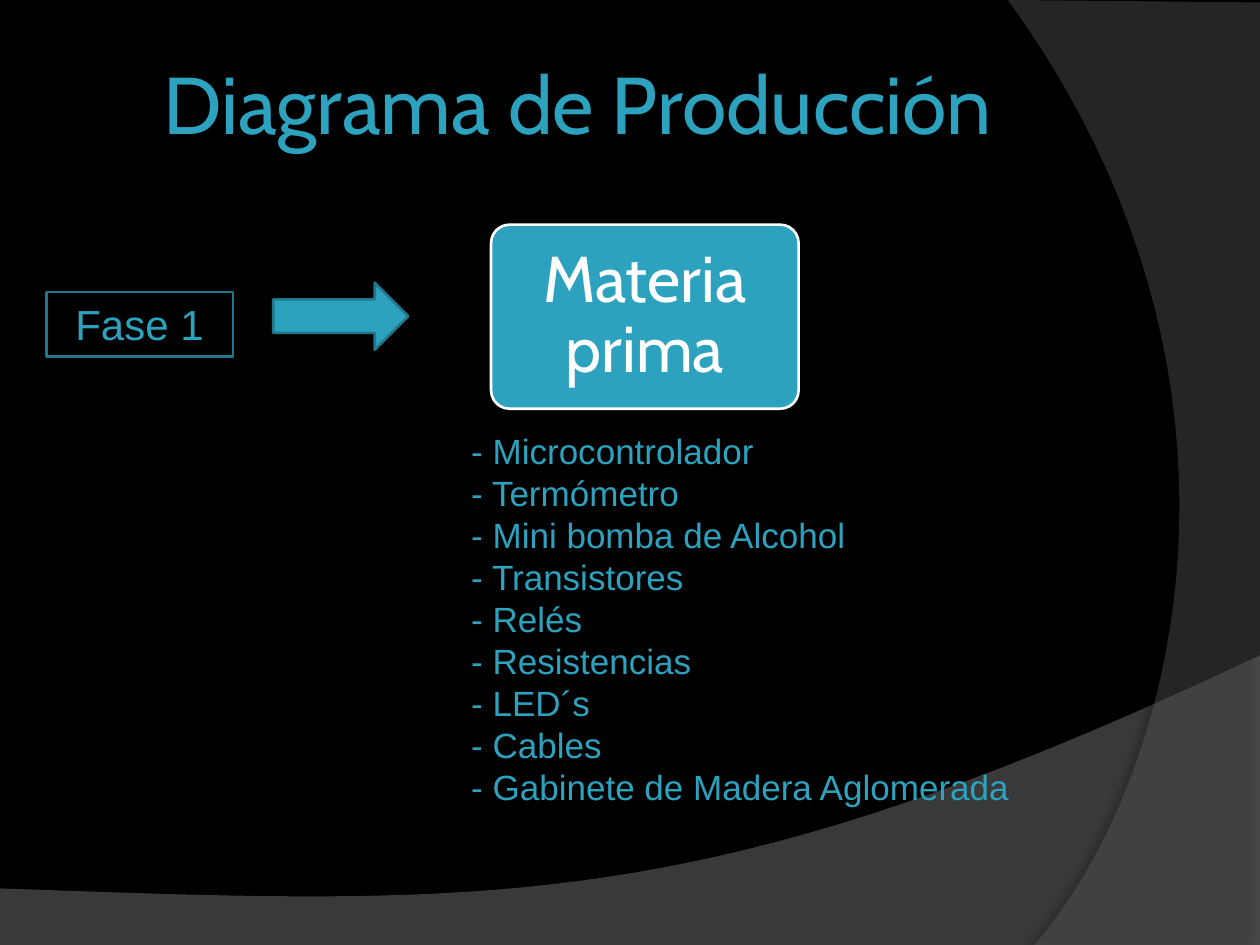
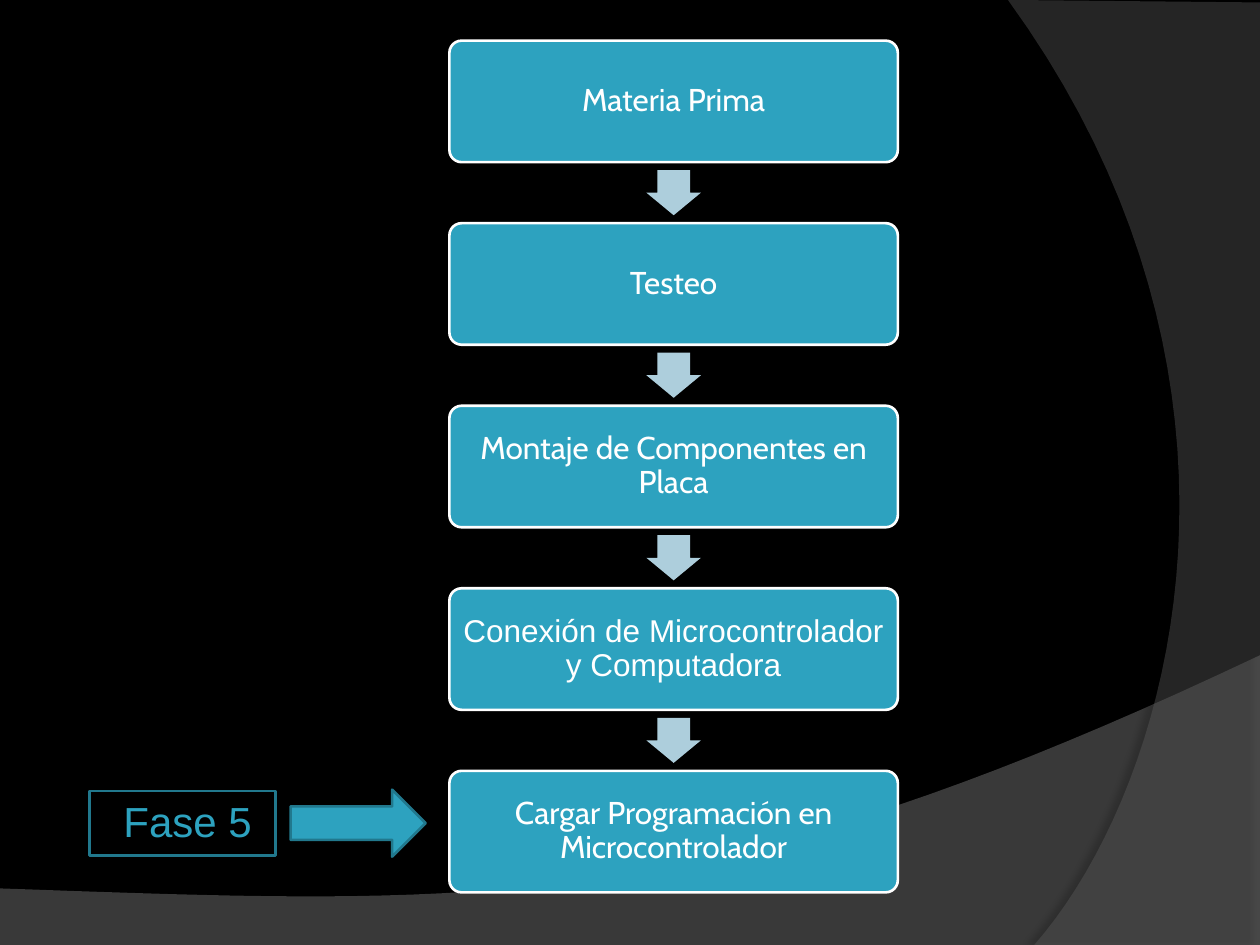
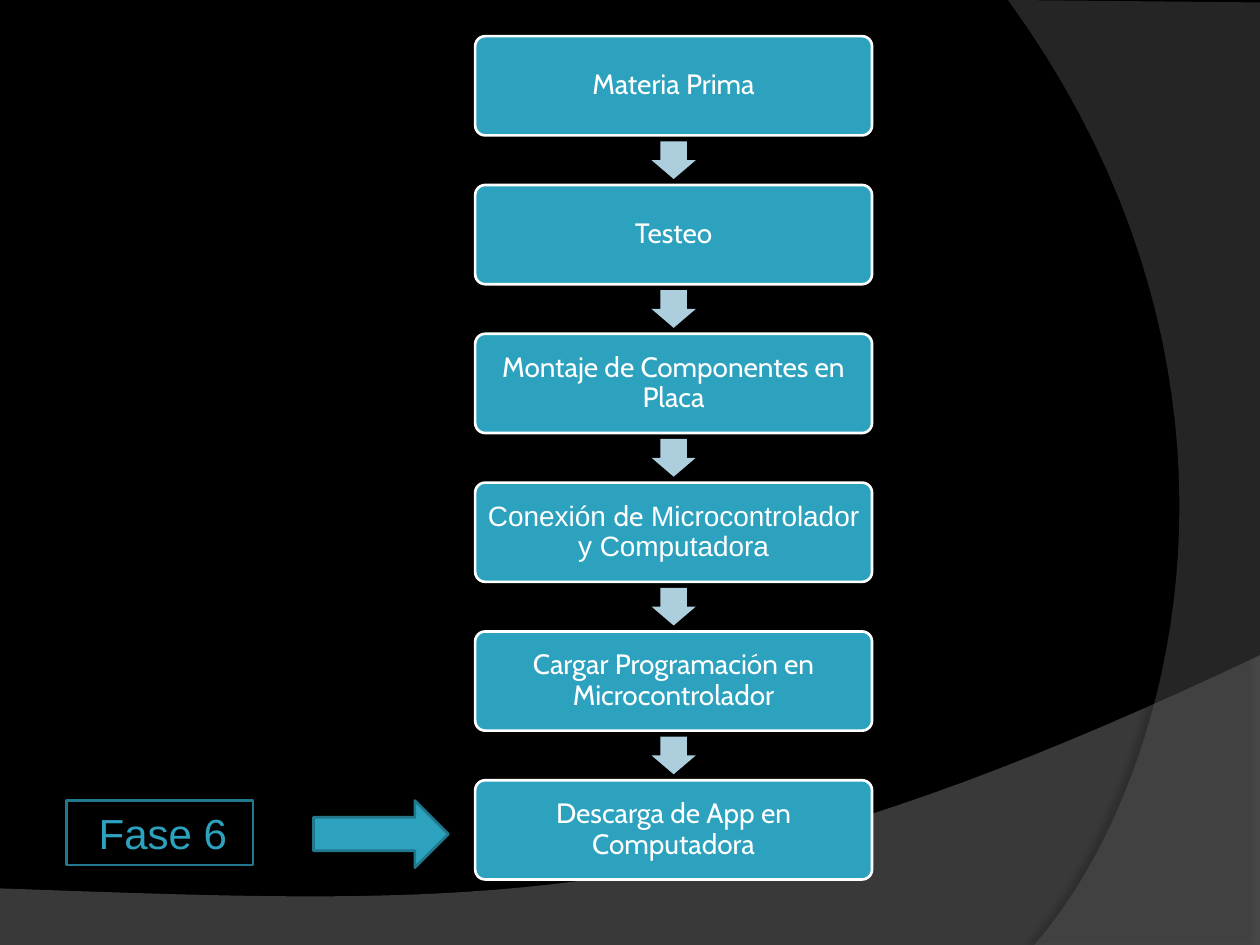
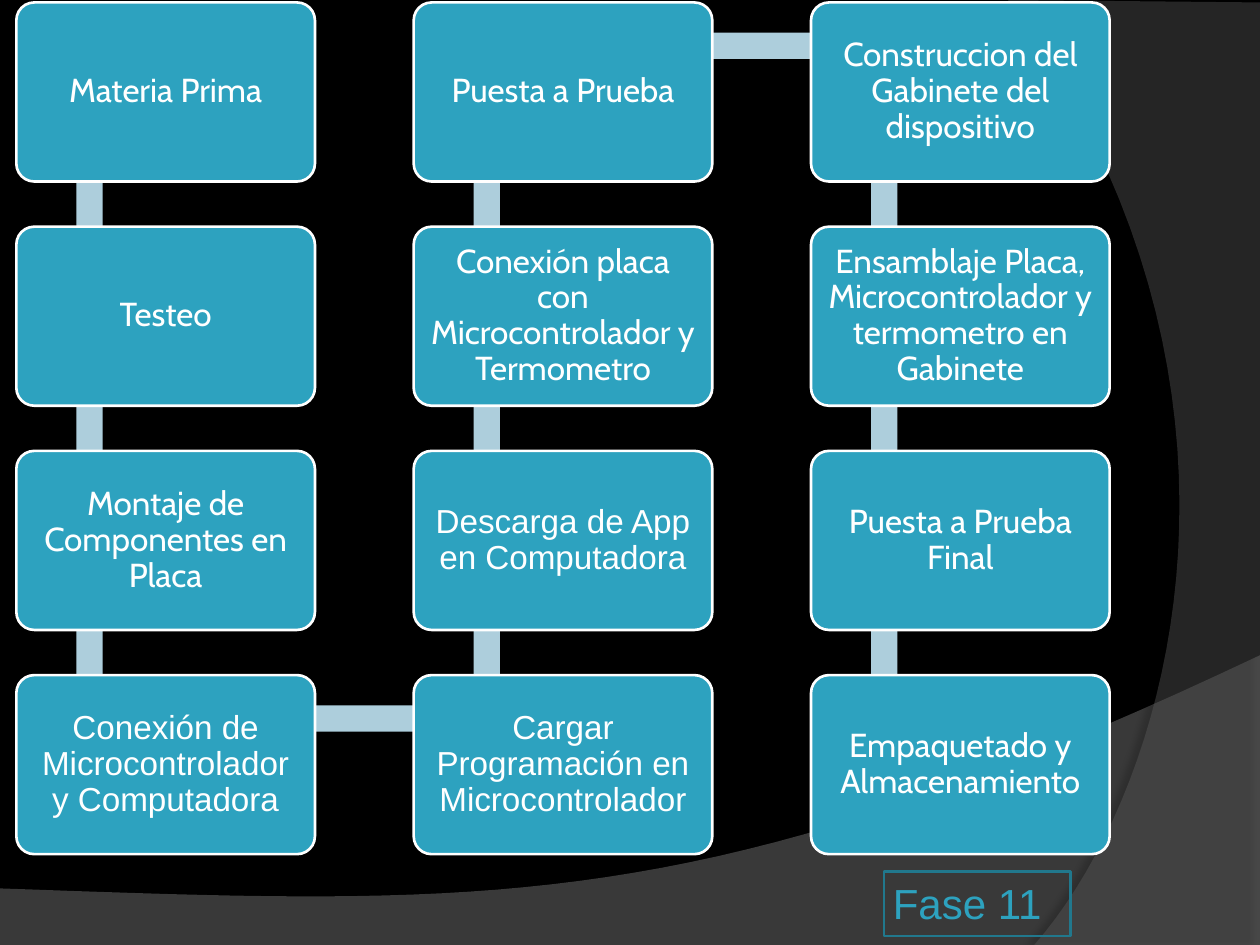
from dataclasses import dataclass

from lxml.etree import SubElement
from pptx import Presentation
from pptx.dml.color import RGBColor as RGB
from pptx.enum.shapes import MSO_SHAPE as SHAPE
from pptx.enum.text import MSO_ANCHOR as ANCHOR, PP_ALIGN as ALIGN
from pptx.oxml.ns import qn
from pptx.util import Cm, Pt


@dataclass(frozen=True)
class Theme:
    black: RGB = RGB(0x00, 0x00, 0x00)
    white: RGB = RGB(0xFF, 0xFF, 0xFF)
    teal: RGB = RGB(0x2D, 0xA2, 0xBF)
    edge: RGB = RGB(0x21, 0x78, 0x8D)
    pale: RGB = RGB(0xAD, 0xCE, 0xDC)
    band: RGB = RGB(0x7F, 0x7F, 0x7F)
    side: RGB = RGB(0x5E, 0x5E, 0x5E)
    cabin: str = "Cabin"
    arial: str = "Arial"
    title: int = 46
    hero: int = 37
    phase: int = 24
    body: int = 20
    grid: int = 19


T = Theme()


def add_shape(s, kind, x, y, w, h, fill=None, line=None, adj=()):
    sp = s.shapes.add_shape(kind, Cm(x), Cm(y), Cm(w), Cm(h))
    sp.shadow.inherit = False
    if fill is None:
        sp.fill.background()
    else:
        sp.fill.solid()
        sp.fill.fore_color.rgb = fill
    if line is None:
        sp.line.fill.background()
    else:
        sp.line.color.rgb = line
        sp.line.width = Pt(1.5)
    for i, value in enumerate(adj):
        sp.adjustments[i] = value
    return sp


def write(sp, lines, size, color, align, anchor, margins, spacing=None):
    tf = sp.text_frame
    tf.word_wrap = True
    tf.vertical_anchor = anchor
    tf.margin_left, tf.margin_top, tf.margin_right, tf.margin_bottom = [Cm(m) for m in margins]
    for i, parts in enumerate(lines):
        p = tf.paragraphs[0] if i == 0 else tf.add_paragraph()
        p.alignment = align
        p.line_spacing = spacing
        for text, font in parts:
            r = p.add_run()
            r.text = text
            r.font.name = font
            r.font.size = Pt(size)
            r.font.color.rgb = color


prs = Presentation()
prs.slide_width = Cm(25.4)
prs.slide_height = Cm(19.05)
layout = prs.slide_layouts[6]
fill = prs.slide_master.background.fill
fill.solid()
fill.fore_color.rgb = T.black
slides = [prs.slides.add_slide(layout) for _ in range(4)]

waves = [
    ([(0, 17.91), (0, 19.05), (25.4, 19.05)],
     [(25.4, 13.21), (14.2, 18.52), (9.93, 18.26), (0, 17.91)], T.band, 45, 35, 3.5, 270),
    ([(25.4, 0.05), (25.4, 19.05)],
     [(20.85, 19.05), (23.75, 15.72), (25.86, 7.62), (20.32, 0)], T.side, 40, 45, 4, 180),
]
for corners, curve, color, alpha, shade, distance, angle in waves:
    points = list(corners)
    for i in range(41):
        t = i / 40
        weights = [(1 - t) ** 3, 3 * t * (1 - t) ** 2, 3 * t * t * (1 - t), t ** 3]
        points.append(tuple(sum(k * c[axis] for k, c in zip(weights, curve)) for axis in (0, 1)))
    points = [(Cm(x), Cm(y)) for x, y in points]
    builder = slides[0].shapes.build_freeform(*points[0])
    builder.add_line_segments(points[1:], close=True)
    sp = builder.convert_to_shape()
    sp.shadow.inherit = False
    sp.line.fill.background()
    sp.fill.solid()
    sp.fill.fore_color.rgb = color
    props = sp.element.spPr
    clr = props.find(qn("a:solidFill")).find(qn("a:srgbClr"))
    SubElement(clr, qn("a:alpha"), val=str(alpha * 1000))
    shadow = SubElement(props.find(qn("a:effectLst")), qn("a:outerShdw"), blurRad=str(Pt(4)),
                        dist=str(Pt(distance)), dir=str(angle * 60000), rotWithShape="0")
    clr = SubElement(shadow, qn("a:srgbClr"), val=str(T.black))
    SubElement(clr, qn("a:alpha"), val=str(shade * 1000))
    layout.shapes.element.append(sp.element)

s = slides[0]
sp = s.shapes.add_textbox(Cm(1.27), Cm(0.76), Cm(20.75), Cm(2.59))
write(sp, [[("Diagrama de Producción", T.cabin)]], T.title, T.teal, ALIGN.CENTER,
      ANCHOR.MIDDLE, [0.13] * 4)
sp = add_shape(s, SHAPE.ROUNDED_RECTANGLE, 9.9, 4.53, 6.2, 3.71, T.teal, T.white, [0.1])
write(sp, [[("Materia prima", T.cabin)]], T.hero, T.white, ALIGN.CENTER,
      ANCHOR.MIDDLE, [0.38] * 4, 0.9)
materials = [
    "- Microcontrolador",
    "- Termómetro",
    "- Mini bomba de Alcohol",
    "- Transistores",
    "- Relés",
    "- Resistencias",
    "- LED´s",
    "- Cables",
    "- Gabinete de Madera Aglomerada",
]
sp = s.shapes.add_textbox(Cm(9.25), Cm(8.53), Cm(12.27), Cm(7.95))
write(sp, [[(m, T.arial)] for m in materials], T.body, T.teal, ALIGN.LEFT,
      ANCHOR.TOP, [0.25, 0.13, 0.25, 0.13])

start = [
    [("Materia Prima", T.cabin)],
    [("Testeo", T.cabin)],
    [("Montaje de Componentes en Placa", T.cabin)],
]
connect = [("Conexión de Microcontrolador y Computadora", T.arial)]
connect_mixed = [("Conexión ", T.arial), ("de", T.cabin),
                 (" Microcontrolador y Computadora", T.arial)]
load = "Cargar Programación en Microcontrolador"
download = "Descarga de App en Computadora"

flows = [
    (slides[1], start + [connect, [(load, T.cabin)]], 18, 0.82, 9.04, 2.45, 3.68, 0.91, 1.1),
    (slides[2], start + [connect_mixed, [(load, T.cabin)], [(download, T.cabin)]],
     16, 0.73, 8, 2, 3, 0.76, 0.89),
]
center = 13.58
for s, steps, size, top, w, h, pitch, arrow_w, arrow_h in flows:
    for i, step in enumerate(steps):
        y = top + i * pitch
        sp = add_shape(s, SHAPE.ROUNDED_RECTANGLE, center - w / 2, y, w, h, T.teal, T.white, [0.1])
        write(sp, [step], size, T.white, ALIGN.CENTER, ANCHOR.MIDDLE, [0.18] * 4, 0.9)
        if i < len(steps) - 1:
            middle = y + (h + pitch) / 2
            sp = add_shape(s, SHAPE.RIGHT_ARROW, center - arrow_w / 2, middle - arrow_h / 2,
                           arrow_w, arrow_h, T.pale, adj=[0.6, 0.5])
            sp.rotation = 90

s = slides[3]
columns = [
    start + [connect],
    [
        [("Puesta a Prueba", T.cabin)],
        [("Conexión placa con Microcontrolador y Termometro", T.cabin)],
        [(download, T.arial)],
        [(load, T.arial)],
    ],
    [
        [("Construccion del Gabinete del dispositivo", T.cabin)],
        [("Ensamblaje Placa, Microcontrolador y termometro en Gabinete", T.cabin)],
        [("Puesta a Prueba Final", T.cabin)],
        [("Empaquetado y Almacenamiento", T.cabin)],
    ],
]
lefts = [0.33 + 8.01 * i for i in range(3)]
tops = [0.05 + 4.52 * i for i in range(4)]
bar = 0.53
for x in lefts:
    for y in tops[:-1]:
        add_shape(s, SHAPE.RECTANGLE, x + 1.21, y + 0.89, bar, 4.5, T.pale)
for x, y in [(lefts[0], tops[3]), (lefts[1], tops[0])]:
    add_shape(s, SHAPE.RECTANGLE, x + 1.21, y + 0.61, 8, bar, T.pale)
for x, steps in zip(lefts, columns):
    for y, step in zip(tops, steps):
        sp = add_shape(s, SHAPE.ROUNDED_RECTANGLE, x, y, 6.02, 3.61, T.teal, T.white, [0.1])
        write(sp, [step], T.grid, T.white, ALIGN.CENTER, ANCHOR.MIDDLE, [0.2] * 4, 0.9)

phases = [
    ("Fase 1", 0.94, 5.89, 0.58, 0.13, (5.51, 5.7)),
    ("Fase 5", 1.8, 15.95, 0.69, 0.08, (5.86, 15.92)),
    ("Fase 6", 1.34, 16.14, 0.65, 0.13, (6.32, 16.14)),
    ("Fase 11", 17.82, 17.57, 0.18, 0.13, None),
]
for s, (name, x, y, indent, drop, arrow) in zip(slides, phases):
    if arrow:
        add_shape(s, SHAPE.RIGHT_ARROW, *arrow, 2.72, 1.35, T.teal, T.edge)
    sp = add_shape(s, SHAPE.RECTANGLE, x, y, 3.76, 1.3, line=T.edge)
    write(sp, [[(name, T.arial)]], T.phase, T.teal, ALIGN.LEFT, ANCHOR.TOP,
          [indent, drop, 0, 0])

prs.save("out.pptx")
